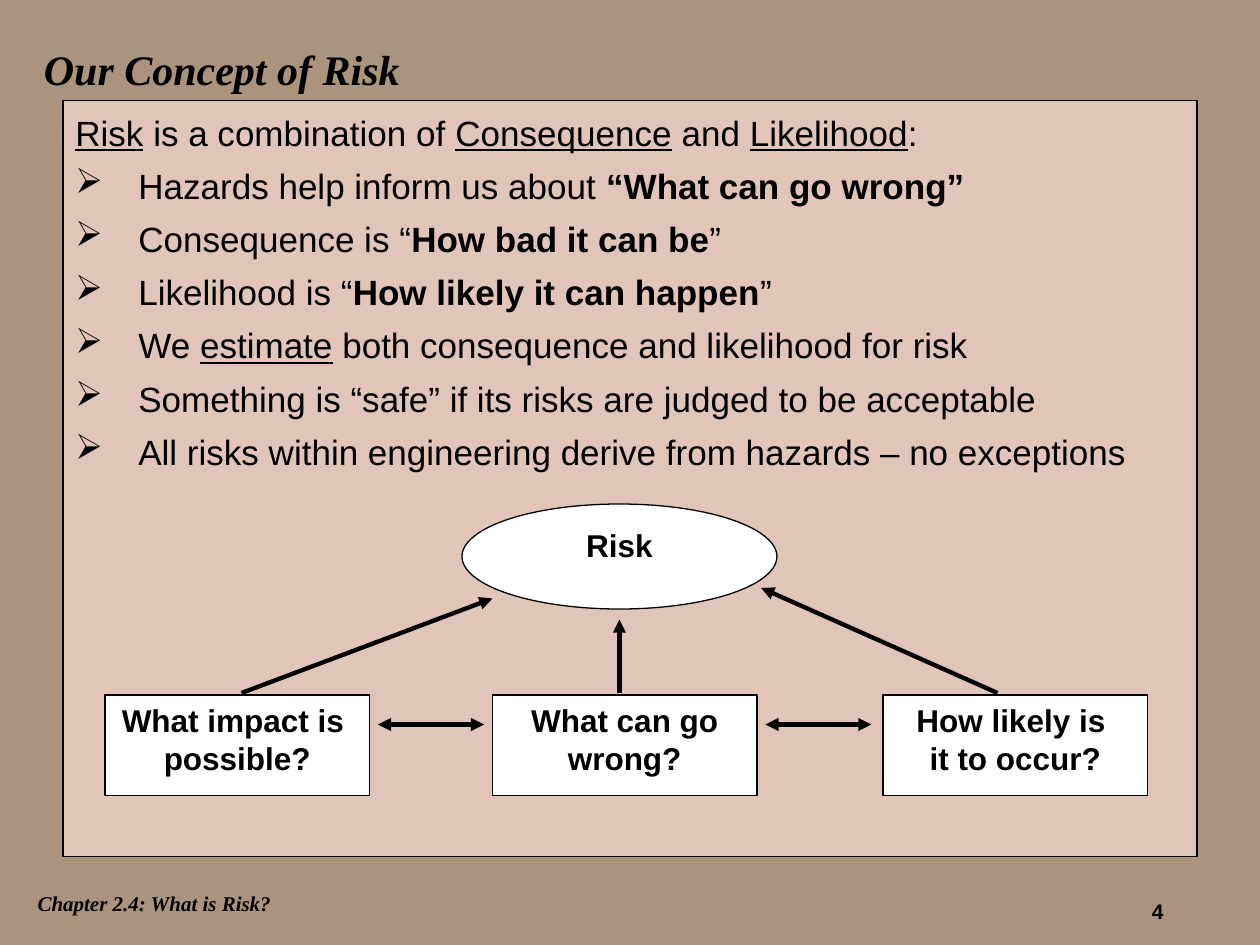
from lxml.etree import SubElement
from pptx import Presentation
from pptx.dml.color import RGBColor
from pptx.enum.shapes import MSO_CONNECTOR, MSO_SHAPE
from pptx.enum.text import MSO_ANCHOR, PP_ALIGN
from pptx.oxml.ns import qn
from pptx.util import Inches, Pt

TAUPE = RGBColor(0xAA, 0x94, 0x7E)
ROSE = RGBColor(0xF9, 0xDB, 0xD3)
WHITE = RGBColor(0xFF, 0xFF, 0xFF)
BLACK = RGBColor(0, 0, 0)

COLUMNS, ROWS = 120, 90
WIDTH, HEIGHT = Inches(10), Inches(7.5)

PLAIN, BOLD, UNDERLINED = {}, {"bold": True}, {"underline": True}
DEFINITION = [("Risk", UNDERLINED), (" is a combination of ", PLAIN),
              ("Consequence", UNDERLINED), (" and ", PLAIN),
              ("Likelihood", UNDERLINED), (":", PLAIN)]
POINTS = [
    [("Hazards help inform us about ", PLAIN), ("“What can go wrong”", BOLD)],
    [("Consequence is “", PLAIN), ("How bad it can be", BOLD), ("” ", PLAIN)],
    [("Likelihood is “", PLAIN), ("How likely it can happen", BOLD), ("”", PLAIN)],
    [("We ", PLAIN), ("estimate", UNDERLINED),
     (" both consequence and likelihood for risk", PLAIN)],
    [("Something is “safe” if its risks are judged to be acceptable", PLAIN)],
    [("All risks within engineering derive from hazards – no exceptions", PLAIN)],
]
QUESTIONS = [(10, "What impact is \npossible?"),
             (84.1, "How likely is \nit to occur?"),
             (46.9, "What can go wrong?")]
ARROWS = [((36, 69), (46.1, 69), True),
          ((72.9, 69), (83, 69), True),
          ((59, 66), (59, 59), False),
          ((23, 66), (46.9, 57), False),
          ((95, 66), (72.5, 56), False)]


def col(count):
    return round(WIDTH * count / COLUMNS)


def row(count):
    return round(HEIGHT * count / ROWS)


def place(left, top, width, height):
    return col(left), row(top), col(width), row(height)


def write(paragraph, text, size=18, font="Arial", bold=False, italic=False,
          underline=False, align=PP_ALIGN.LEFT):
    paragraph.alignment = align
    for index, line in enumerate(text.split("\n")):
        if index:
            paragraph.add_line_break()
        run = paragraph.add_run()
        run.text = line
        run.font.name, run.font.size = font, Pt(size)
        run.font.bold, run.font.italic = bold, italic
        run.font.underline = underline
        run.font.color.rgb = BLACK


def add_label(slide, area, text, anchor=MSO_ANCHOR.MIDDLE, **style):
    frame = slide.shapes.add_textbox(*place(*area)).text_frame
    frame.word_wrap = True
    frame.vertical_anchor = anchor
    write(frame.paragraphs[0], text, **style)


def add_box(slide, kind, area, color):
    box = slide.shapes.add_shape(kind, *place(*area))
    box.shadow.inherit = False
    box.fill.solid()
    box.fill.fore_color.rgb = color
    box.line.color.rgb = BLACK
    box.line.width = Pt(0.75)
    box.text_frame.word_wrap = True
    box.text_frame.vertical_anchor = MSO_ANCHOR.TOP
    return box


def add_node(slide, kind, area, text):
    node = add_box(slide, kind, area, WHITE)
    write(node.text_frame.paragraphs[0], text, bold=True, align=PP_ALIGN.CENTER)


def add_bullet(paragraph):
    properties = paragraph._p.get_or_add_pPr()
    tint = SubElement(properties, qn("a:buClr"))
    SubElement(tint, qn("a:srgbClr"), val=str(BLACK))
    SubElement(properties, qn("a:buFont"), typeface="Wingdings")
    SubElement(properties, qn("a:buChar"), char="Ø")


def add_panel(slide):
    panel = add_box(slide, MSO_SHAPE.RECTANGLE, (6, 9.6, 108, 72), ROSE)
    tint = panel._element.spPr.find(qn("a:solidFill"))[0]
    SubElement(tint, qn("a:alpha"), val="70000")
    frame = panel.text_frame
    for index, phrases in enumerate([DEFINITION] + POINTS):
        paragraph = frame.add_paragraph() if index else frame.paragraphs[0]
        for text, style in phrases:
            write(paragraph, text, size=20, **style)
        paragraph.line_spacing = 1.1
        properties = paragraph._p.get_or_add_pPr()
        properties.set("marL", str(col(6)))
        properties.set("indent", str(-col(6)))
        if index:
            paragraph.space_before = Pt(4)
            add_bullet(paragraph)


def add_arrow(slide, start, end, both_ways):
    arrow = slide.shapes.add_connector(
        MSO_CONNECTOR.STRAIGHT, col(start[0]), row(start[1]), col(end[0]), row(end[1]))
    arrow.line.color.rgb = BLACK
    arrow.line.width = Pt(2.5)
    line = arrow.line._get_or_add_ln()
    if both_ways:
        SubElement(line, qn("a:headEnd"), type="triangle")
    SubElement(line, qn("a:tailEnd"), type="triangle")
    SubElement(arrow._element.spPr, qn("a:effectLst"))


def main():
    deck = Presentation()
    deck.slide_width, deck.slide_height = WIDTH, HEIGHT
    slide = deck.slides.add_slide(deck.slide_layouts[6])
    slide.background.fill.solid()
    slide.background.fill.fore_color.rgb = TAUPE

    heading = {"font": "Times New Roman", "bold": True, "italic": True}
    add_label(slide, (100, 85, 12, 3), "4", anchor=MSO_ANCHOR.TOP,
              size=12, bold=True, align=PP_ALIGN.RIGHT)
    add_panel(slide)
    add_label(slide, (2.4, 84, 26, 4), "Chapter 2.4: What is Risk?", size=12, **heading)
    add_label(slide, (3, 3, 114, 7), "Our Concept of Risk", size=24, **heading)
    add_node(slide, MSO_SHAPE.OVAL, (44, 48, 30, 10), "Risk")
    for left, question in QUESTIONS:
        add_node(slide, MSO_SHAPE.RECTANGLE, (left, 66.2, 25.2, 9.6), question)
    for start, end, both_ways in ARROWS:
        add_arrow(slide, start, end, both_ways)
    deck.save("out.pptx")


main()
